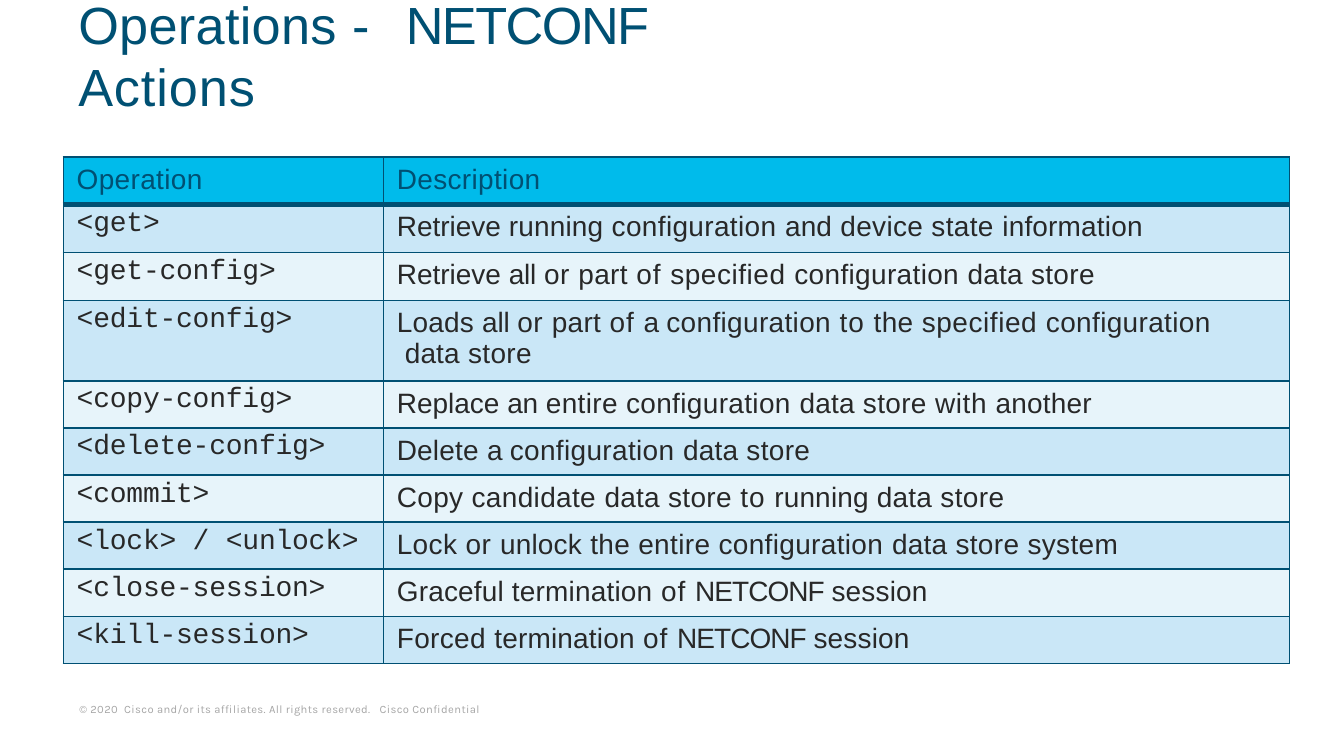
from itertools import groupby

from lxml.etree import SubElement
from pptx import Presentation
from pptx.dml.color import RGBColor
from pptx.enum.text import MSO_ANCHOR, MSO_AUTO_SIZE, PP_ALIGN
from pptx.oxml.ns import qn
from pptx.util import Cm, Pt

INK = {"navy": "005073", "cyan": "00BBEB", "sky": "CAE7F7",
       "pale": "E7F4FA", "dark": "282828", "grey": "A6A6A6"}

GAPS = {"of": 50, "to": 50, "or": 30, "specified": 30, "with": 30, "a": -30,
        "all": -10, "an": -10, "NETCONF": -50, "Retrieve": 0, "Replace": 0}
GAPS.update(dict.fromkeys(
    ["running", "and", "information", "data", "Loads", "Delete", "another",
     "termination", "Graceful", "session", "unlock"], 10))

HEAD = ("Operation", "Description")
ROWS = [
    ("<get>", "Retrieve running configuration and device state information"),
    ("<get-config>", "Retrieve all or part of specified configuration data store"),
    ("<edit-config>", "Loads all or part of a configuration to the specified "
                      "configuration\ndata store"),
    ("<copy-config>", "Replace an entire configuration data store with another"),
    ("<delete-config>", "Delete a configuration data store"),
    ("<commit>", "Copy candidate data store to running data store"),
    ("<lock> / <unlock>", "Lock or unlock the entire configuration data store system"),
    ("<close-session>", "Graceful termination of NETCONF session"),
    ("<kill-session>", "Forced termination of NETCONF session"),
]


def paint(name):
    """Return the named colour."""
    return RGBColor.from_string(INK[name])


def apply(obj, form):
    """Set each attribute of obj from a dict of format values."""
    for key, val in form.items():
        setattr(obj, key, val)


def write(para, text, gap, face, size, tint):
    """Add one run with its letter spacing in hundredths of a point."""
    run = para.add_run()
    run.text = text
    apply(run.font, {"name": face, "size": Pt(size), "bold": False})
    run.font.color.rgb = paint(tint)
    run._r.get_or_add_rPr().set("spc", str(gap))


def prose(para, text, face, size, tint):
    """Write words in runs that share the same letter spacing."""
    for row, line in enumerate(text.split("\n")):
        if row:
            para.add_line_break()
        words = line.split(" ")
        runs = [(gap, " ".join(part)) for gap, part in
                groupby(words, lambda word: GAPS.get(word, 20))]
        for num, (gap, part) in enumerate(runs, 1):
            tail = " " if num < len(runs) else ""
            write(para, part + tail, gap, face, size, tint)


def edge(cell, top, base):
    """Draw the four borders of a cell."""
    props = cell._tc.get_or_add_tcPr()
    for side, wide in (("L", 1), ("R", 1), ("T", top), ("B", base)):
        line = SubElement(props, qn("a:ln" + side), w=str(Pt(wide)))
        fill = SubElement(line, qn("a:solidFill"))
        SubElement(fill, qn("a:srgbClr"), val=INK["navy"])


def title(slide, box):
    """Place and format the slide title."""
    shape = slide.shapes.title
    apply(shape, dict(zip(("left", "top", "width", "height"), box)))
    apply(shape.text_frame, {
        "margin_left": 0, "margin_right": 0, "margin_top": Cm(0.03),
        "margin_bottom": 0, "word_wrap": True,
        "vertical_anchor": MSO_ANCHOR.MIDDLE,
        "auto_size": MSO_AUTO_SIZE.SHAPE_TO_FIT_TEXT})
    para = shape.text_frame.paragraphs[0]
    para.alignment = PP_ALIGN.LEFT
    para._p.get_or_add_pPr().set("marL", str(Cm(0.03)))
    for text, gap in (("Operations ", 20), ("- ", 580),
                      ("NETCONF ", -80), ("Actions", 50)):
        write(para, text, gap, "Arial", 28, "navy")


def grid(slide, box):
    """Place the table of operations."""
    table = slide.shapes.add_table(len(ROWS) + 1, 2, *box).table
    apply(table, {"first_row": False, "horz_banding": False})
    table.columns[0].width = Cm(6.05)
    table.columns[1].width = box[2] - Cm(6.05)
    highs = {1: 0.91, 2: 0.91, 3: 1.52}
    for row, texts in enumerate([HEAD] + ROWS):
        table.rows[row].height = Cm(highs.get(row, 0.89))
        for col, text in enumerate(texts):
            code = row > 0 and col == 0
            cell = table.cell(row, col)
            edge(cell, 3 if row == 1 else 1, 3 if row == 0 else 1)
            apply(cell, {"margin_left": 0, "margin_right": 0, "margin_bottom": 0,
                         "margin_top": Cm(0.07 if code else 0.13),
                         "vertical_anchor": MSO_ANCHOR.TOP})
            cell.fill.solid()
            cell.fill.fore_color.rgb = paint(
                "cyan" if row == 0 else "sky" if row % 2 else "pale")
            para = cell.text_frame.paragraphs[0]
            hang = Cm(0.15) if col else 0
            props = para._p.get_or_add_pPr()
            props.set("marL", str(Cm(0.25) + hang))
            props.set("indent", str(-hang))
            if code:
                write(para, text, -10, "Courier New", 15, "dark")
            else:
                prose(para, text, "Arial", 15, "dark" if row else "navy")


def foot(slide, box):
    """Place the copyright line."""
    frame = slide.shapes.add_textbox(*box).text_frame
    apply(frame, {"margin_left": Cm(0.18), "margin_right": Cm(0.18),
                  "margin_top": Cm(0.08), "margin_bottom": Cm(0.08),
                  "word_wrap": True, "vertical_anchor": MSO_ANCHOR.BOTTOM,
                  "auto_size": MSO_AUTO_SIZE.SHAPE_TO_FIT_TEXT})
    write(frame.paragraphs[0],
          "© 2020  Cisco and/or its affiliates. All rights reserved.   Cisco Confidential",
          20, "Karla", 6, "grey")


def main():
    """Build and save the slide."""
    deck = Presentation()
    apply(deck, {"slide_width": Cm(25.4), "slide_height": Cm(14.29)})
    slide = deck.slides.add_slide(deck.slide_layouts[5])
    title(slide, (Cm(1.45), Cm(0.38), Cm(14.38), Cm(1.27)))
    grid(slide, (Cm(1.2), Cm(2.97), Cm(23.17), Cm(9.58)))
    foot(slide, (Cm(1.32), Cm(13.18), Cm(9.45), Cm(0.43)))
    deck.save("out.pptx")


if __name__ == "__main__":
    main()
